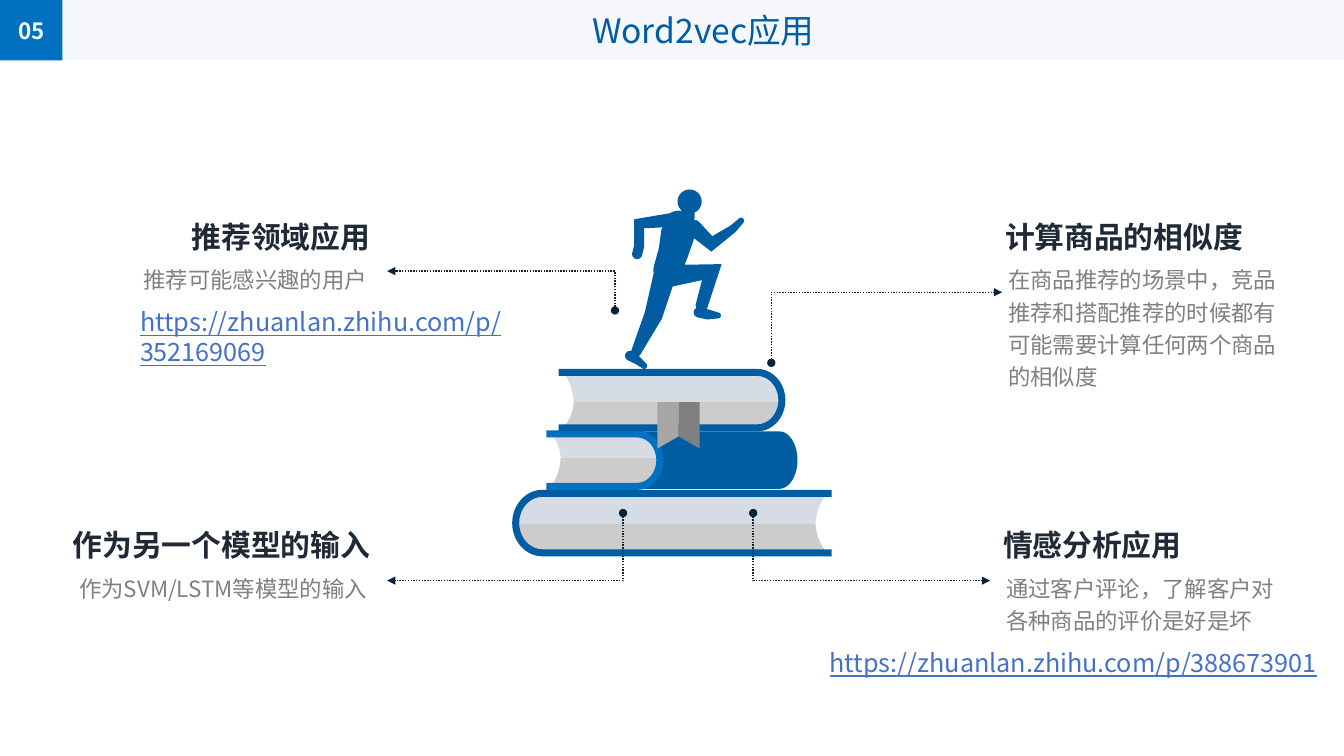
from math import atan2, cos, pi, sin

from lxml import etree
from pptx import Presentation
from pptx.dml.color import RGBColor
from pptx.enum.shapes import MSO_CONNECTOR, MSO_SHAPE
from pptx.enum.text import MSO_ANCHOR, MSO_AUTO_SIZE, PP_ALIGN
from pptx.oxml.ns import qn
from pptx.util import Inches, Pt

FONT = "Noto Sans CJK SC"
BLUE, BRIGHT, INK, HEADING, GRAY = "005DA2", "0070C0", "07233A", "202A36", "808080"
LINK, WHITE, BAND, PAPER, SHADE, RIBBON = "4472C4", "FFFFFF", "F6F7FC", "D6DCE5", "CCCCCC", "A6A6A6"
NUMBER_WIDTH, BAR_HEIGHT = 0.62, 0.6
SLIDE_WIDTH, SLIDE_HEIGHT = 13.33, 7.5

# Each body part is a chain of joints: x, y and half the thickness there.
RUNNER = {
    "neck": [(6.83, 2.05, 0.06), (6.82, 2.15, 0.07)],
    "torso": [(6.73, 2.24, 0.15), (6.73, 2.3, 0.17), (6.68, 2.5, 0.15), (6.62, 2.68, 0.14)],
    "rear arm": [(6.68, 2.18, 0.07), (6.34, 2.22, 0.05), (6.34, 2.44, 0.05), (6.32, 2.52, 0.05)],
    "front arm": [(6.88, 2.26, 0.08), (7.06, 2.42, 0.06), (7.27, 2.27, 0.04), (7.35, 2.19, 0.03)],
    "rear leg": [(6.59, 2.74, 0.11), (6.48, 3.13, 0.09), (6.31, 3.49, 0.05)],
    "rear foot": [(6.25, 3.53, 0.05), (6.33, 3.58, 0.04), (6.39, 3.63, 0.03)],
    "front leg": [(6.63, 2.74, 0.11), (7.06, 2.7, 0.07), (6.96, 3.03, 0.06)],
    "front foot": [(6.93, 3.1, 0.05), (7.02, 3.12, 0.05), (7.12, 3.13, 0.03)],
}
HEAD_CENTER, HEAD_RADIUS = (6.84, 2), 0.12


def color(code):
    return RGBColor.from_string(code)


def bend(start, corner, end, pull=0.55, steps=10):
    """Points of a Bezier curve from start to end that leans towards corner."""
    first = [s + pull * (c - s) for s, c in zip(start, corner)]
    second = [e + pull * (c - e) for e, c in zip(end, corner)]
    points = []
    for step in range(steps + 1):
        t = step / steps
        u = 1 - t
        weights = (u ** 3, 3 * u * u * t, 3 * u * t * t, t ** 3)
        points.append(tuple(sum(w * p[axis] for w, p in zip(weights, (start, first, second, end)))
                            for axis in (0, 1)))
    return points


def spine(hinge, tip, top, bottom):
    """Points of a rounded book back, from top to bottom."""
    middle = (top + bottom) / 2
    return (bend((hinge, top), (tip, top), (tip, middle))
            + bend((tip, middle), (tip, bottom), (hinge, bottom)))


def arc(x, y, radius, start, sweep, steps=12):
    angles = [start + sweep * step / steps for step in range(steps + 1)]
    return [(x + radius * cos(angle), y + radius * sin(angle)) for angle in angles]


def limb(joints):
    """Outline of a tapering limb: both sides of the chain, with round ends."""
    headings = [atan2(b[1] - a[1], b[0] - a[0]) for a, b in zip(joints, joints[1:])]
    left, right = [], []
    for (x, y, half), before, after in zip(joints[1:-1], headings, headings[1:]):
        turn = (after - before + pi) % (2 * pi) - pi
        normal = before + turn / 2 + pi / 2
        reach = half / cos(turn / 2)
        left.append((x + reach * cos(normal), y + reach * sin(normal)))
        right.append((x - reach * cos(normal), y - reach * sin(normal)))
    return (arc(*joints[0], headings[0] + pi / 2, pi) + right
            + arc(*joints[-1], headings[-1] - pi / 2, pi) + left[::-1])


class SlideBuilder:
    def __init__(self, page):
        self.page = page

    def style(self, paragraph, size, code, bold=False, underline=None):
        for span in paragraph.runs:
            font = span.font
            font.size, font.name, font.bold, font.underline = Pt(size), FONT, bold, underline
            font.color.rgb = color(code)
            etree.SubElement(font._element, qn("a:ea"), typeface=FONT)

    def paint(self, shape, fill):
        shape.shadow.inherit = False
        shape.fill.solid()
        shape.fill.fore_color.rgb = color(fill)
        shape.line.fill.background()

    def bar(self, left, width, fill, text, size, code, bold=False):
        box = self.page.shapes.add_shape(MSO_SHAPE.RECTANGLE, Inches(left), 0,
                                         Inches(width), Inches(BAR_HEIGHT))
        self.paint(box, fill)
        frame = box.text_frame
        frame.text = text
        frame.vertical_anchor = MSO_ANCHOR.MIDDLE
        frame.paragraphs[0].alignment = PP_ALIGN.CENTER
        self.style(frame.paragraphs[0], size, code, bold)

    def text(self, left, top, width, height, text, size, code, align=PP_ALIGN.LEFT,
             wrap=True, **look):
        box = self.page.shapes.add_textbox(Inches(left), Inches(top), Inches(width), Inches(height))
        frame = box.text_frame
        frame.text = text
        frame.word_wrap = wrap
        frame.paragraphs[0].alignment = align
        self.style(frame.paragraphs[0], size, code, **look)
        return frame

    def topic(self, edge, top, align, title, title_width, body, body_width, body_height):
        """A heading over a description, both flush with the vertical line at edge."""
        share = 1 if align == PP_ALIGN.RIGHT else 0
        frame = self.text(edge - share * body_width, top + 0.4, body_width, body_height,
                          body, 16, GRAY, align)
        frame.margin_left = frame.margin_right = Inches(0.13)
        frame.margin_top = frame.margin_bottom = Inches(0.07)
        frame.paragraphs[0].line_spacing = 1.2
        frame = self.text(edge - share * title_width, top, title_width, 0.46,
                          title, 21.3, HEADING, align, wrap=False, bold=True)
        frame.auto_size = MSO_AUTO_SIZE.SHAPE_TO_FIT_TEXT

    def link(self, left, top, width, address, wrap):
        self.text(left, top, width, 0.4, address, 18, LINK, wrap=wrap, underline=True)

    def outline(self, points, fill):
        start, *rest = [(Inches(x), Inches(y)) for x, y in points]
        builder = self.page.shapes.build_freeform(*start, scale=1.0)
        builder.add_line_segments(rest, close=True)
        self.paint(builder.convert_to_shape(), fill)

    def book(self, edge, notch, hinge, tip, top, middle, bottom, fill):
        """A lying book: two-tone pages with a hollow fore edge, inside a cover."""
        toward = 1 if tip > edge else -1
        page_edge, page_tip = edge + 0.04 * toward, tip - 0.03 * toward
        for rim, tone in ((top + 0.05, PAPER), (bottom - 0.05, SHADE)):
            self.outline(bend((page_edge, rim), (notch, rim), (notch, middle), pull=0.4)
                         + bend((page_tip, middle), (page_tip, rim), (hinge, rim)), tone)
        board = 0.07
        outer = spine(hinge, tip, top, bottom)
        inner = spine(hinge, tip - board * toward, top + board, bottom - board)
        self.outline([(edge, top), *outer, (edge, bottom), (edge, bottom - board),
                      *reversed(inner), (edge, top + board)], fill)

    def closed_book(self, left_hinge, left_tip, right_hinge, right_tip, top, bottom, fill):
        self.outline(spine(right_hinge, right_tip, top, bottom)
                     + spine(left_hinge, left_tip, top, bottom)[::-1], fill)

    def ribbon(self, center, top, half_width, notch, bottom):
        for side, tone in ((center - half_width, RIBBON), (center + half_width, GRAY)):
            self.outline([(side, top), (side, bottom), (center, notch), (center, top)], tone)

    def runner(self):
        self.outline(arc(*HEAD_CENTER, HEAD_RADIUS, 0, 2 * pi, steps=24), BLUE)
        for joints in RUNNER.values():
            self.outline(limb(joints), BLUE)

    def pointer(self, start, end):
        """A dotted elbow arrow that runs vertically, then horizontally."""
        line = self.page.shapes.add_connector(
            MSO_CONNECTOR.ELBOW, *[Inches(value) for value in (*start, *end)])
        line.line.color.rgb = color(INK)
        line.line.width = Pt(1)
        properties = line._element.spPr
        guides = properties.find(qn("a:prstGeom")).get_or_add_avLst()
        etree.SubElement(guides, qn("a:gd"), name="adj1", fmla="val 0")
        stroke = line.line._get_or_add_ln()
        for tag, attribute, value in (("a:prstDash", "val", "sysDot"),
                                      ("a:headEnd", "type", "oval"),
                                      ("a:tailEnd", "type", "triangle")):
            etree.SubElement(stroke, qn(tag)).set(attribute, value)
        etree.SubElement(properties, qn("a:effectLst"))


def main():
    deck = Presentation()
    deck.slide_width, deck.slide_height = Inches(SLIDE_WIDTH), Inches(SLIDE_HEIGHT)
    slide = SlideBuilder(deck.slides.add_slide(deck.slide_layouts[6]))

    slide.bar(NUMBER_WIDTH, SLIDE_WIDTH - NUMBER_WIDTH, BAND, "Word2vec应用", 24, BLUE)
    slide.bar(0, NUMBER_WIDTH, BRIGHT, "05", 16, WHITE, bold=True)

    slide.book(edge=8.25, notch=8.09, hinge=5.38, tip=5.08, top=4.86, middle=5.2, bottom=5.52, fill=BLUE)
    slide.closed_book(6.34, 6.53, 7.73, 7.91, top=4.28, bottom=4.85, fill=BLUE)
    slide.book(edge=5.42, notch=5.56, hinge=6.32, tip=6.58, top=4.27, middle=4.54, bottom=4.86, fill=BRIGHT)
    slide.book(edge=5.54, notch=5.69, hinge=7.51, tip=7.79, top=3.66, middle=3.99, bottom=4.28, fill=BLUE)
    slide.ribbon(center=6.73, top=3.99, half_width=0.21, notch=4.33, bottom=4.45)
    slide.runner()

    for start, end in (((6.1, 3.08), (3.84, 2.69)), ((6.18, 5.09), (3.84, 5.76)),
                       ((7.65, 3.6), (9.94, 2.9)), ((7.47, 5.09), (9.82, 5.76))):
        slide.pointer(start, end)

    upper, lower = 2.12, 5.18
    left, right = PP_ALIGN.LEFT, PP_ALIGN.RIGHT
    slide.topic(3.77, upper, right, "推荐领域应用", 1.99, "推荐可能感兴趣的用户", 2.7, 0.63)
    slide.topic(3.77, lower, right, "作为另一个模型的输入", 3.18, "作为SVM/LSTM等模型的输入", 3.33, 1.08)
    slide.topic(9.87, upper, left, "计算商品的相似度", 2.68,
                "在商品推荐的场景中，竞品推荐和搭配推荐的时候都有可能需要计算任何两个商品的相似度", 2.94, 0.7)
    slide.topic(9.85, lower, left, "情感分析应用", 1.99,
                "通过客户评论，了解客户对各种商品的评价是好是坏", 3.04, 0.88)
    slide.link(1.29, 2.99, 4.68, "https://zhuanlan.zhihu.com/p/352169069", wrap=True)
    slide.link(8.13, 6.37, 5.15, "https://zhuanlan.zhihu.com/p/388673901", wrap=False)
    deck.save("out.pptx")


if __name__ == "__main__":
    main()
